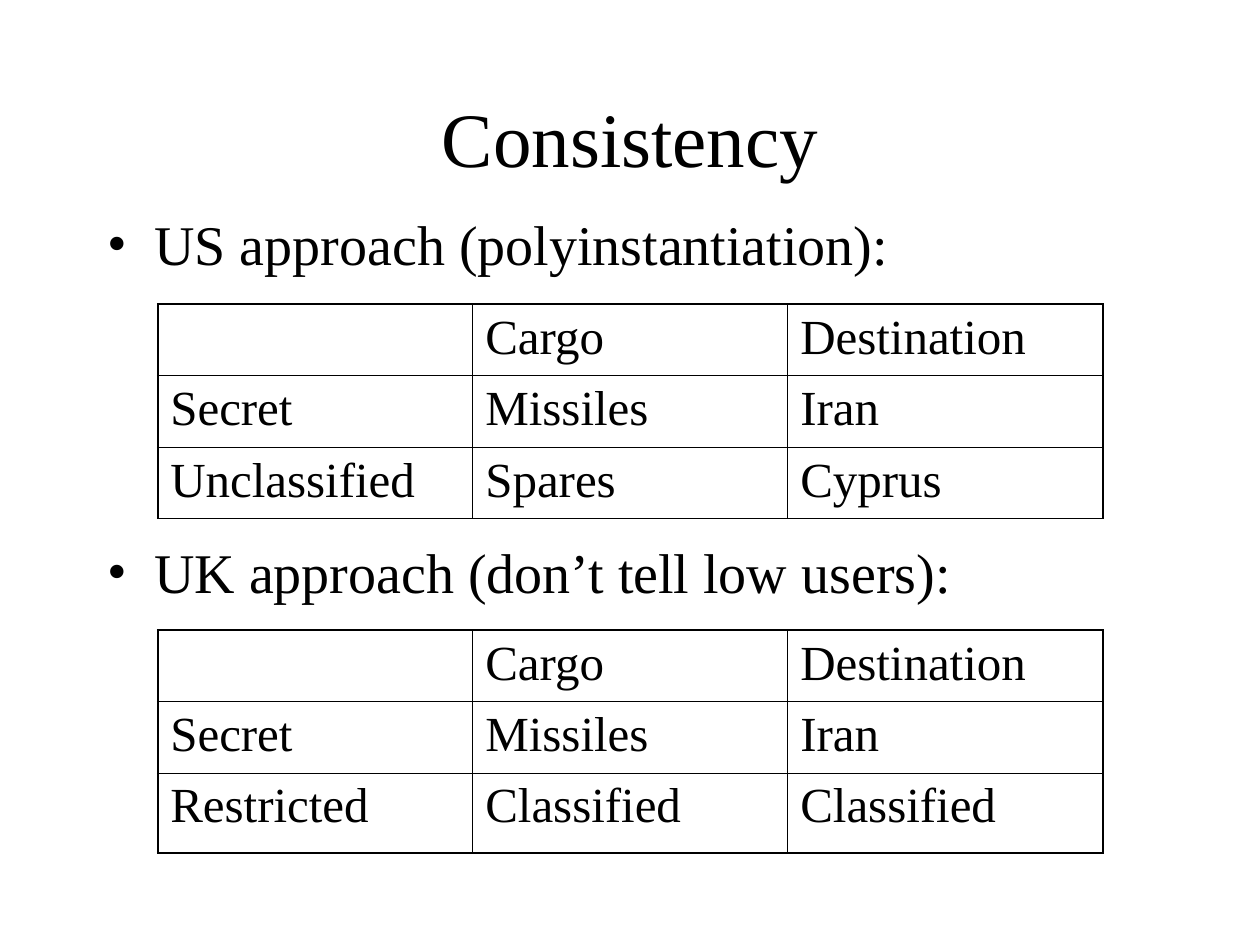
"""Build the Consistency slide comparing two approaches to classified records."""
import pptx
import pptx.dml.color
import pptx.enum.text
import pptx.oxml.ns
import pptx.util
from lxml import etree

Cm = pptx.util.Cm
Pt = pptx.util.Pt

TITLE = "Consistency"
HEADER = ["", "Cargo", "Destination"]
SECRET = ["Secret", "Missiles", "Iran"]
APPROACHES = [
    {"heading": "US approach (polyinstantiation):", "space_before": 0,
     "records": [HEADER, SECRET, ["Unclassified", "Spares", "Cyprus"]],
     "top": 6.13, "row_heights": [1.44, 1.44, 1.44]},
    {"heading": "UK approach (don’t tell low users):", "space_before": 149,
     "records": [HEADER, SECRET, ["Restricted", "Classified", "Classified"]],
     "top": 12.7, "row_heights": [1.44, 1.44, 1.62]},
]
FONT = "Times New Roman"
INK = "000000"
COLUMN_WIDTH = 6.35
TABLE_LEFT = 3.18
INNER_LINE, OUTER_LINE = 0.45, 1.08


def style(paragraph, size, color=INK):
    paragraph.font.name = FONT
    paragraph.font.size = Pt(size)
    paragraph.font.color.rgb = pptx.dml.color.RGBColor.from_string(color)


def add_child(parent, tag, **attributes):
    return etree.SubElement(parent, pptx.oxml.ns.qn(tag), attributes)


def add_bullet(paragraph, indent):
    properties = paragraph._p.get_or_add_pPr()
    properties.set("marL", str(indent))
    properties.set("indent", str(-indent))
    add_child(properties, "a:buFont", typeface=FONT)
    add_child(properties, "a:buChar", char="•")


def add_text_frame(slide, left, top, width, height, inset_top, inset_bottom):
    box = slide.shapes.add_textbox(Cm(left), Cm(top), Cm(width), Cm(height))
    frame = box.text_frame
    frame.word_wrap = True
    frame.margin_top, frame.margin_bottom = Cm(inset_top), Cm(inset_bottom)
    return frame


def add_borders(cell, widths):
    properties = cell._tc.get_or_add_tcPr()
    for side, width in widths.items():
        line = add_child(properties, f"a:ln{side}", w=str(Pt(width)))
        fill = add_child(line, "a:solidFill")
        add_child(fill, "a:srgbClr", val=INK)


def add_records(slide, records, top, row_heights):
    row_count, column_count = len(records), len(records[0])
    grid = slide.shapes.add_table(
        row_count, column_count, Cm(TABLE_LEFT), Cm(top),
        Cm(COLUMN_WIDTH * column_count), Cm(sum(row_heights))).table
    grid.first_row = grid.horz_banding = False
    for column in grid.columns:
        column.width = Cm(COLUMN_WIDTH)
    for r, (record, height) in enumerate(zip(records, row_heights)):
        grid.rows[r].height = Cm(height)
        for c, value in enumerate(record):
            cell = grid.cell(r, c)
            cell.text = value
            style(cell.text_frame.paragraphs[0], 28)
            on_edge = {"L": c == 0, "R": c == column_count - 1,
                       "T": r == 0, "B": r == row_count - 1}
            add_borders(cell, {side: OUTER_LINE if edge else INNER_LINE
                               for side, edge in on_edge.items()})
            cell.fill.background()


def main():
    deck = pptx.Presentation()
    deck.slide_width, deck.slide_height = Cm(25.4), Cm(19.05)
    slide = deck.slides.add_slide(deck.slide_layouts[6])

    title = add_text_frame(slide, 1.91, 1.7, 21.59, 1.91, 0.2, 0)
    title.vertical_anchor = pptx.enum.text.MSO_ANCHOR.MIDDLE
    title.text = TITLE
    title.paragraphs[0].alignment = pptx.enum.text.PP_ALIGN.CENTER
    style(title.paragraphs[0], 44)

    headings = add_text_frame(slide, 1.91, 4.01, 21.59, 12.9, 0.22, 0.13)
    headings.text = "\n".join(a["heading"] for a in APPROACHES)
    for heading, approach in zip(headings.paragraphs, APPROACHES):
        add_bullet(heading, Cm(0.95))
        heading.space_before = Pt(approach["space_before"])
        style(heading, 32)
        add_records(slide, approach["records"], approach["top"],
                    approach["row_heights"])

    deck.save("out.pptx")


if __name__ == "__main__":
    main()
